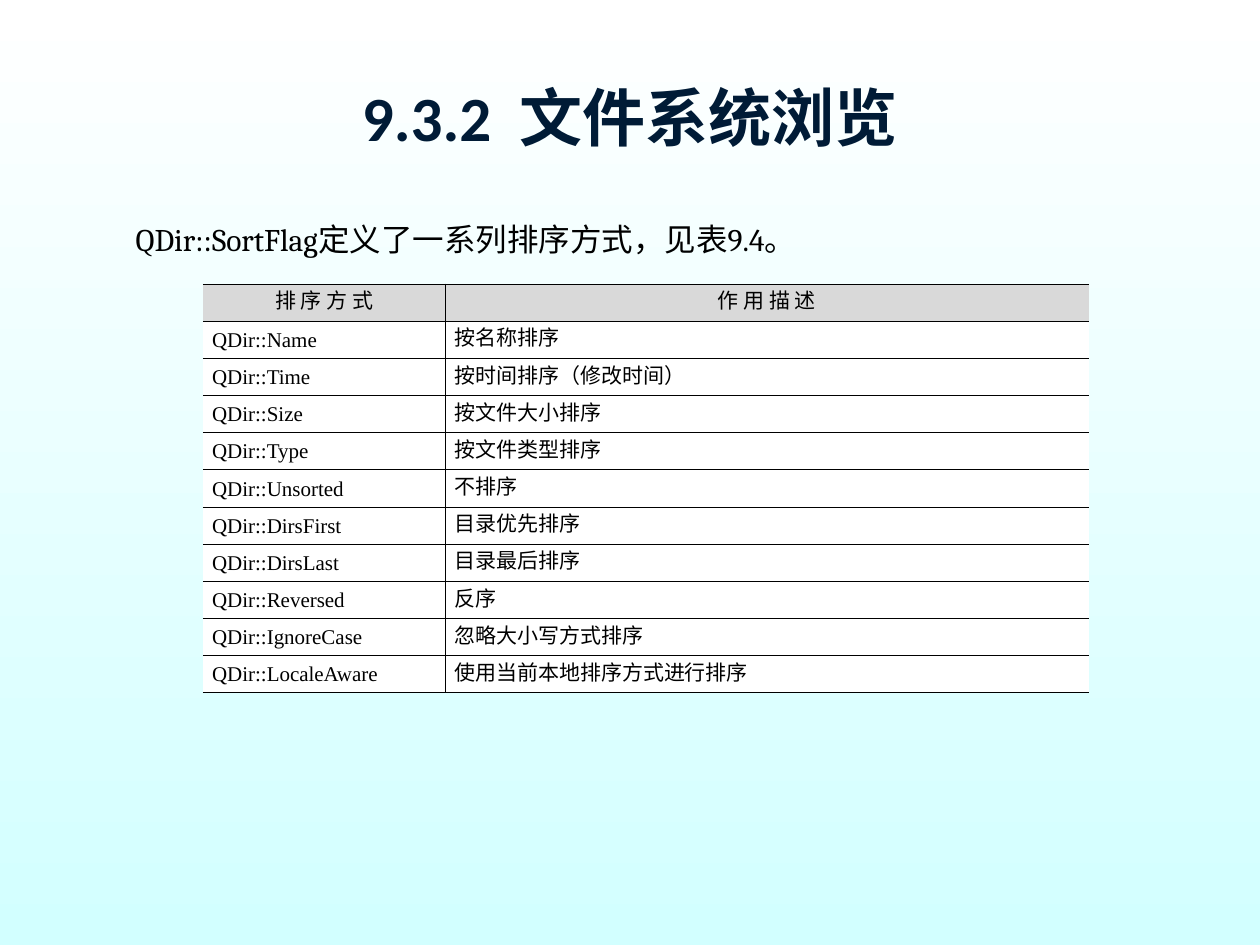
from lxml import etree
from pptx import Presentation
from pptx import util as u
from pptx.dml.color import RGBColor
from pptx.enum import text
from pptx.oxml import ns

Pt = u.Pt
BLACK = "000000"
HEADER = ("排 序 方 式", "作 用 描 述")
SORT_FLAGS = [
    ("QDir::Name", "按名称排序"),
    ("QDir::Time", "按时间排序（修改时间）"),
    ("QDir::Size", "按文件大小排序"),
    ("QDir::Type", "按文件类型排序"),
    ("QDir::Unsorted", "不排序"),
    ("QDir::DirsFirst", "目录优先排序"),
    ("QDir::DirsLast", "目录最后排序"),
    ("QDir::Reversed", "反序"),
    ("QDir::IgnoreCase", "忽略大小写方式排序"),
    ("QDir::LocaleAware", "使用当前本地排序方式进行排序"),
]


def color(value):
    return RGBColor.from_string(value)


def style_runs(paragraph, font_name, size, font_color, bold=False):
    for run in paragraph.runs:
        run.font.name = font_name
        run.font.size = Pt(size)
        run.font.color.rgb = color(font_color)
        run.font.bold = bold


def paint_background(slide, top_color, bottom_color):
    fill = slide.background.fill
    fill.gradient()
    fill.gradient_angle = 270
    for stop, value in zip(fill.gradient_stops, (top_color, bottom_color)):
        stop.color.rgb = color(value)


def add_text(slide, box, content, anchor, alignment, **font):
    frame = slide.shapes.add_textbox(*map(Pt, box)).text_frame
    frame.word_wrap = True
    frame.vertical_anchor = anchor
    frame.text = content
    paragraph = frame.paragraphs[0]
    paragraph.alignment = alignment
    style_runs(paragraph, **font)


def set_borders(cell, visible_sides):
    properties = cell._tc.get_or_add_tcPr()
    for side in "LRTB":
        line = etree.SubElement(properties, ns.qn(f"a:ln{side}"), w=str(Pt(0.45)))
        if side in visible_sides:
            solid = etree.SubElement(line, ns.qn("a:solidFill"))
            etree.SubElement(solid, ns.qn("a:srgbClr"), val=BLACK)
        else:
            etree.SubElement(line, ns.qn("a:noFill"))


def fill_cell(cell, content, alignment, background, borders):
    set_borders(cell, borders)
    cell.fill.solid()
    cell.fill.fore_color.rgb = color(background)
    cell.vertical_anchor = text.MSO_ANCHOR.MIDDLE
    cell.margin_left = cell.margin_right = Pt(5.2)
    cell.margin_top = cell.margin_bottom = Pt(3.6)
    cell.text_frame.text = content
    paragraph = cell.text_frame.paragraphs[0]
    paragraph.alignment = alignment
    paragraph.line_spacing = Pt(14)
    style_runs(paragraph, "Times New Roman", 12, BLACK)


def add_sort_table(slide, box, first_width):
    rows = [HEADER, *SORT_FLAGS]
    width, height = box[2:]
    table = slide.shapes.add_table(len(rows), 2, *map(Pt, box)).table
    table.first_row = table.horz_banding = False
    table.columns[0].width = Pt(first_width)
    table.columns[1].width = Pt(width - first_width)
    for row_index, row in enumerate(rows):
        table.rows[row_index].height = Pt(height / len(rows))
        is_header = row_index == 0
        alignment = text.PP_ALIGN.CENTER if is_header else text.PP_ALIGN.JUSTIFY
        background = "D9D9D9" if is_header else "FFFFFF"
        for column_index, content in enumerate(row):
            borders = ("RTB", "LTB")[column_index]
            fill_cell(table.cell(row_index, column_index), content,
                      alignment, background, borders)


def main():
    presentation = Presentation()
    presentation.slide_width, presentation.slide_height = Pt(720), Pt(540)
    slide = presentation.slides.add_slide(presentation.slide_layouts[6])
    paint_background(slide, "FFFFFF", "D2FFFF")

    # Title
    add_text(slide, (36, 21.6, 648, 90), "9.3.2  文件系统浏览",
             text.MSO_ANCHOR.MIDDLE, text.PP_ALIGN.CENTER,
             font_name="Calibri", size=36, font_color="001B36", bold=True)
    # Introductory sentence
    add_text(slide, (70.5, 122.4, 424, 29),
             "QDir::SortFlag定义了一系列排序方式，见表9.4。",
             text.MSO_ANCHOR.TOP, text.PP_ALIGN.LEFT,
             font_name="Cambria", size=18, font_color=BLACK)
    # Sort flag table
    add_sort_table(slide, (116, 162.3, 506.2, 233.3), first_width=138.4)

    presentation.save("out.pptx")


if __name__ == "__main__":
    main()
